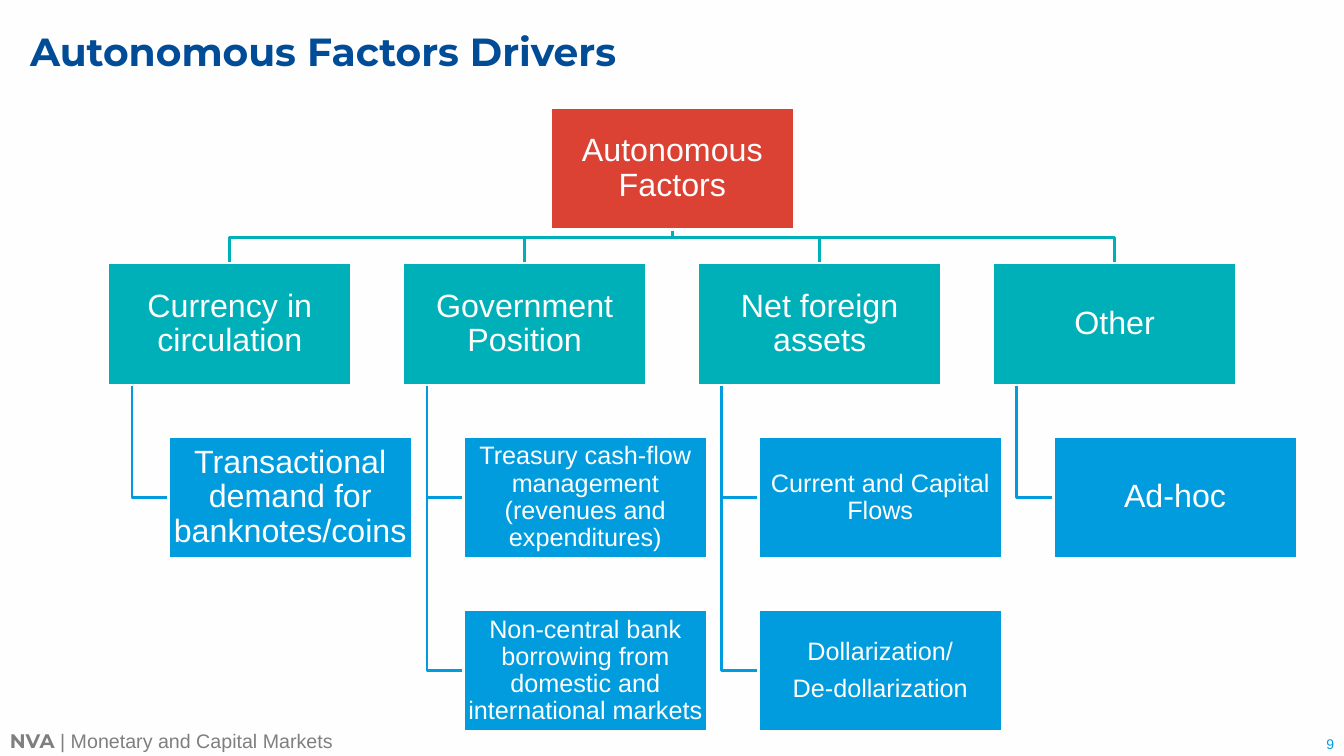
import pptx
import pptx.util
import pptx.dml.color
import pptx.enum.shapes
import pptx.enum.text

Inches = pptx.util.Inches
Pt = pptx.util.Pt
ALIGN = pptx.enum.text.PP_ALIGN
ANCHOR = pptx.enum.text.MSO_ANCHOR

# Content
TITLE = "Autonomous Factors Drivers"
ORGANISATION = "NVA "
DEPARTMENT = "| Monetary and Capital Markets"
PAGE_NUMBER = "9"
ROOT = "Autonomous Factors"
# Each branch: factor, size of its driver text, drivers (one list of lines per box)
BRANCHES = [
    ("Currency in circulation", 23, [["Transactional demand for banknotes/coins"]]),
    ("Government Position", 18, [
        ["Treasury cash-flow management (revenues and expenditures)"],
        ["Non-central bank borrowing from domestic and international markets"],
    ]),
    ("Net foreign assets", 18, [
        ["Current and Capital Flows"],
        ["Dollarization/", "De-dollarization"],
    ]),
    ("Other", 23, [["Ad-hoc"]]),
]
COLORS = {
    "white": "FEFEFE", "navy": "004C97", "gray": "7F7F7F",
    "red": "DC4234", "teal": "00B0B9", "blue": "009CDE",
}

# Layout in inches
SLIDE_WIDTH, SLIDE_HEIGHT = 13.33, 7.5
BOX_WIDTH, BOX_HEIGHT = 2.42, 1.21
ROOT_LEFT, ROOT_TOP = 5.46, 1.07
FIRST_LEFT, COLUMN_STEP = 1.07, 2.925
FACTOR_TOP, ROW_STEP = 2.61, 1.72
DRIVER_INDENT, TRUNK_INDENT = 0.6, 0.24
BUS_Y = 2.36


def color(name):
    return pptx.dml.color.RGBColor.from_string(COLORS[name])


def add_span(para, text, size, font, color_name, bold=False):
    span = para.add_run()
    span.text = text
    span.font.size = Pt(size)
    span.font.name = font
    span.font.bold = bold
    span.font.color.rgb = color(color_name)


def set_frame(frame, anchor, margin):
    frame.word_wrap = True
    frame.vertical_anchor = anchor
    frame.margin_left = frame.margin_right = Inches(margin)
    frame.margin_top = frame.margin_bottom = Inches(margin)


def add_text_box(page, left, top, width, height, anchor):
    box = page.shapes.add_textbox(Inches(left), Inches(top), Inches(width), Inches(height))
    box.text_frame.word_wrap = True
    box.text_frame.vertical_anchor = anchor
    return box.text_frame


def add_box(page, left, top, lines, size, fill):
    box = page.shapes.add_shape(
        pptx.enum.shapes.MSO_SHAPE.RECTANGLE,
        Inches(left), Inches(top), Inches(BOX_WIDTH), Inches(BOX_HEIGHT))
    box.shadow.inherit = False
    box.fill.solid()
    box.fill.fore_color.rgb = color(fill)
    box.line.color.rgb = color("white")
    box.line.width = Pt(2)
    frame = box.text_frame
    set_frame(frame, ANCHOR.MIDDLE, 0.02 if size > 20 else 0.01)
    for index, line in enumerate(lines):
        para = frame.add_paragraph() if index else frame.paragraphs[0]
        para.alignment = ALIGN.CENTER
        para.line_spacing = 0.9
        para.space_after = Pt(size * 0.35)
        add_span(para, line, size, "Arial", "white")


def add_elbow(page, points, line_color):
    corners = [(Inches(x), Inches(y)) for x, y in points]
    builder = page.shapes.build_freeform(*corners[0])
    builder.add_line_segments(corners[1:], close=False)
    elbow = builder.convert_to_shape()
    elbow.shadow.inherit = False
    elbow.fill.background()
    elbow.line.color.rgb = color(line_color)
    elbow.line.width = Pt(2)


def add_tree(page):
    root_x = ROOT_LEFT + BOX_WIDTH / 2
    root_bottom = ROOT_TOP + BOX_HEIGHT
    lefts = [FIRST_LEFT + column * COLUMN_STEP for column in range(len(BRANCHES))]

    # Connecting lines, behind the boxes
    for left, (_, _, drivers) in zip(lefts, BRANCHES):
        factor_x = left + BOX_WIDTH / 2
        add_elbow(page, [(root_x, root_bottom), (root_x, BUS_Y),
                         (factor_x, BUS_Y), (factor_x, FACTOR_TOP)], "teal")
        trunk_x = left + TRUNK_INDENT
        for row in range(1, len(drivers) + 1):
            middle = FACTOR_TOP + row * ROW_STEP + BOX_HEIGHT / 2
            add_elbow(page, [(trunk_x, FACTOR_TOP + BOX_HEIGHT), (trunk_x, middle),
                             (left + DRIVER_INDENT, middle)], "blue")

    # Boxes
    add_box(page, ROOT_LEFT, ROOT_TOP, [ROOT], 23, "red")
    for left, (factor, size, drivers) in zip(lefts, BRANCHES):
        add_box(page, left, FACTOR_TOP, [factor], 23, "teal")
        for row, lines in enumerate(drivers, 1):
            add_box(page, left + DRIVER_INDENT, FACTOR_TOP + row * ROW_STEP,
                    lines, size, "blue")


def main():
    deck = pptx.Presentation()
    deck.slide_width = Inches(SLIDE_WIDTH)
    deck.slide_height = Inches(SLIDE_HEIGHT)
    page = deck.slides.add_slide(deck.slide_layouts[6])
    page.background.fill.solid()
    page.background.fill.fore_color.rgb = color("white")

    # Footer and page number
    para = add_text_box(page, 0, 7.18, 10, 0.34, ANCHOR.TOP).paragraphs[0]
    add_span(para, ORGANISATION, 14, "Montserrat", "gray", bold=True)
    add_span(para, DEPARTMENT, 14, "Arial", "gray")
    para = add_text_box(page, 12.01, 7.24, 1.32, 0.27, ANCHOR.BOTTOM).paragraphs[0]
    para.alignment = ALIGN.RIGHT
    add_span(para, PAGE_NUMBER, 10, "Arial", "blue")

    # Title
    frame = add_text_box(page, 0.3, 0, 13.03, 1.07, ANCHOR.MIDDLE)
    set_frame(frame, ANCHOR.MIDDLE, 0)
    frame.paragraphs[0].line_spacing = 0.9
    add_span(frame.paragraphs[0], TITLE, 28, "Montserrat", "navy", bold=True)

    add_tree(page)
    deck.save("out.pptx")


if __name__ == "__main__":
    main()
